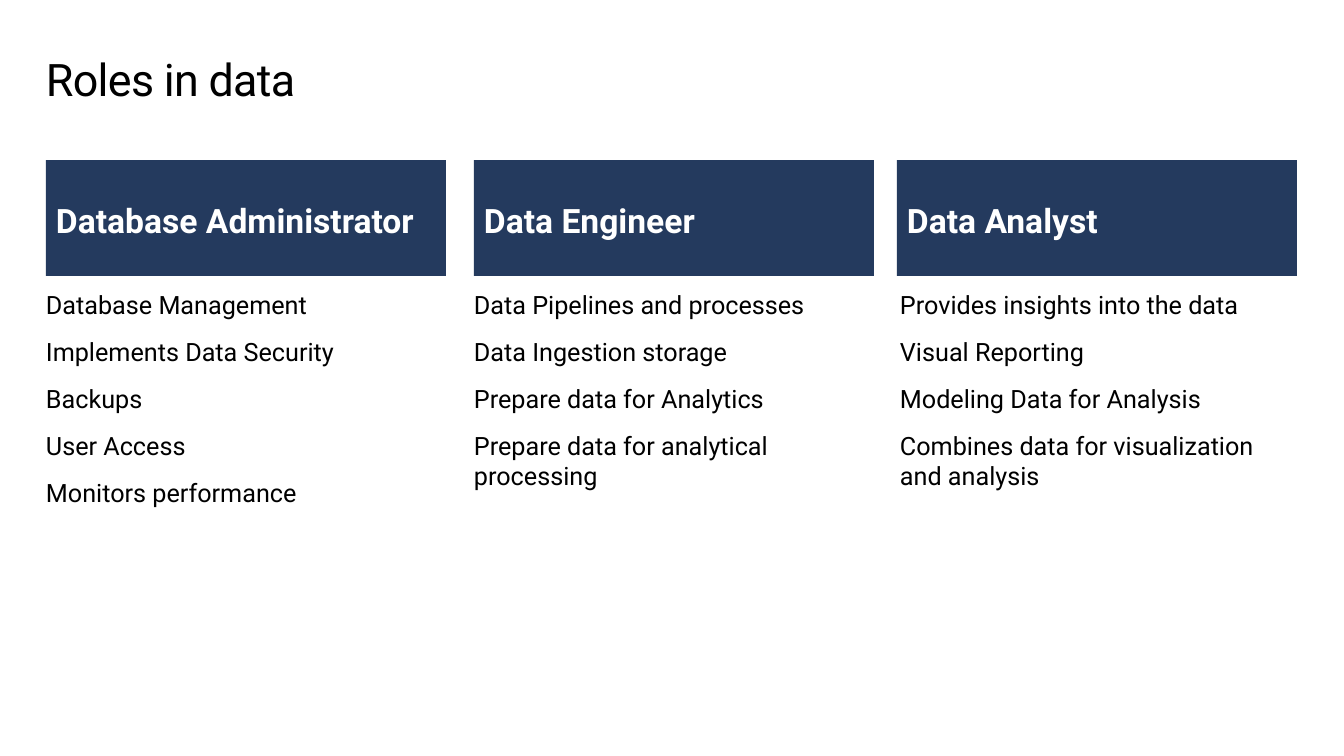
from dataclasses import dataclass

from pptx import Presentation
from pptx.dml.color import RGBColor
from pptx.enum.shapes import MSO_SHAPE
from pptx.enum.text import MSO_ANCHOR, PP_ALIGN
from pptx.slide import Slide
from pptx.text.text import TextFrame, _Paragraph
from pptx.util import Emu, Pt

RECT = MSO_SHAPE.RECTANGLE
TOP, MIDDLE = MSO_ANCHOR.TOP, MSO_ANCHOR.MIDDLE
LEFT = PP_ALIGN.LEFT
EMU_PER_PX = 914400 / 100.8


@dataclass(frozen=True)
class Theme:
    font: str = "Roboto"
    navy: RGBColor = RGBColor(0x24, 0x3A, 0x5E)
    black: RGBColor = RGBColor(0, 0, 0)
    white: RGBColor = RGBColor(255, 255, 255)
    title: int = 32
    header: int = 24
    body: int = 18


@dataclass(frozen=True)
class Role:
    name: str
    x: int
    body_x: int
    duties: tuple[str, ...]


THEME = Theme()
HEADER_Y, HEADER_W, HEADER_H = 160, 400, 116
BODY_Y, BODY_W, BODY_H = 289, 399, 281

ROLES = (
    Role("Database Administrator", 46, 46, (
        "Database Management",
        "Implements Data Security",
        "Backups",
        "User Access",
        "Monitors performance",
    )),
    Role("Data Engineer", 474, 474, (
        "Data Pipelines and processes",
        "Data Ingestion storage",
        "Prepare data for Analytics",
        "Prepare data for analytical processing",
    )),
    Role("Data Analyst", 897, 900, (
        "Provides insights into the data",
        "Visual Reporting",
        "Modeling Data for Analysis",
        "Combines data for visualization\nand analysis",
    )),
)


def px(n: int) -> Emu:
    return Emu(round(n * EMU_PER_PX))


def set_frame(tf: TextFrame, insets: tuple[int, int, int, int], anchor: MSO_ANCHOR) -> None:
    tf.word_wrap = True
    tf.vertical_anchor = anchor
    tf.margin_left, tf.margin_top, tf.margin_right, tf.margin_bottom = map(px, insets)


def write(p: _Paragraph, text: str, size: int, color: RGBColor, bold: bool = False) -> None:
    p.text = text
    p.alignment = LEFT
    p.font.name = THEME.font
    p.font.size = Pt(size)
    p.font.bold = bold
    p.font.color.rgb = color


def add_title(s: Slide, text: str) -> None:
    tf = s.shapes.add_textbox(px(46), px(48), px(1250), px(75)).text_frame
    set_frame(tf, (0, 10, 16, 10), TOP)
    p = tf.paragraphs[0]
    write(p, text, THEME.title, THEME.black)
    p.line_spacing = 0.9
    p.runs[0]._r.get_or_add_rPr().set("spc", "-50")


def add_header(s: Slide, role: Role) -> None:
    sp = s.shapes.add_shape(RECT, px(role.x), px(HEADER_Y), px(HEADER_W), px(HEADER_H))
    sp.shadow.inherit = False
    sp.fill.solid()
    sp.fill.fore_color.rgb = THEME.navy
    sp.line.fill.background()
    set_frame(sp.text_frame, (10, 10, 10, 5), MIDDLE)
    write(sp.text_frame.paragraphs[0], role.name, THEME.header, THEME.white, bold=True)


def add_duties(s: Slide, role: Role) -> None:
    tf = s.shapes.add_textbox(px(role.body_x), px(BODY_Y), px(BODY_W), px(BODY_H)).text_frame
    set_frame(tf, (0, 0, 0, 0), TOP)
    for i, duty in enumerate(role.duties):
        p = tf.add_paragraph() if i else tf.paragraphs[0]
        write(p, duty, THEME.body, THEME.black)
        p.space_after = Pt(4)
        if i:
            p.space_before = Pt(8)


def main() -> None:
    prs = Presentation()
    prs.slide_width, prs.slide_height = px(1344), px(756)
    s = prs.slides.add_slide(prs.slide_layouts[6])
    add_title(s, "Roles in data")
    for role in ROLES:
        add_header(s, role)
        add_duties(s, role)
    prs.save("out.pptx")


if __name__ == "__main__":
    main()
